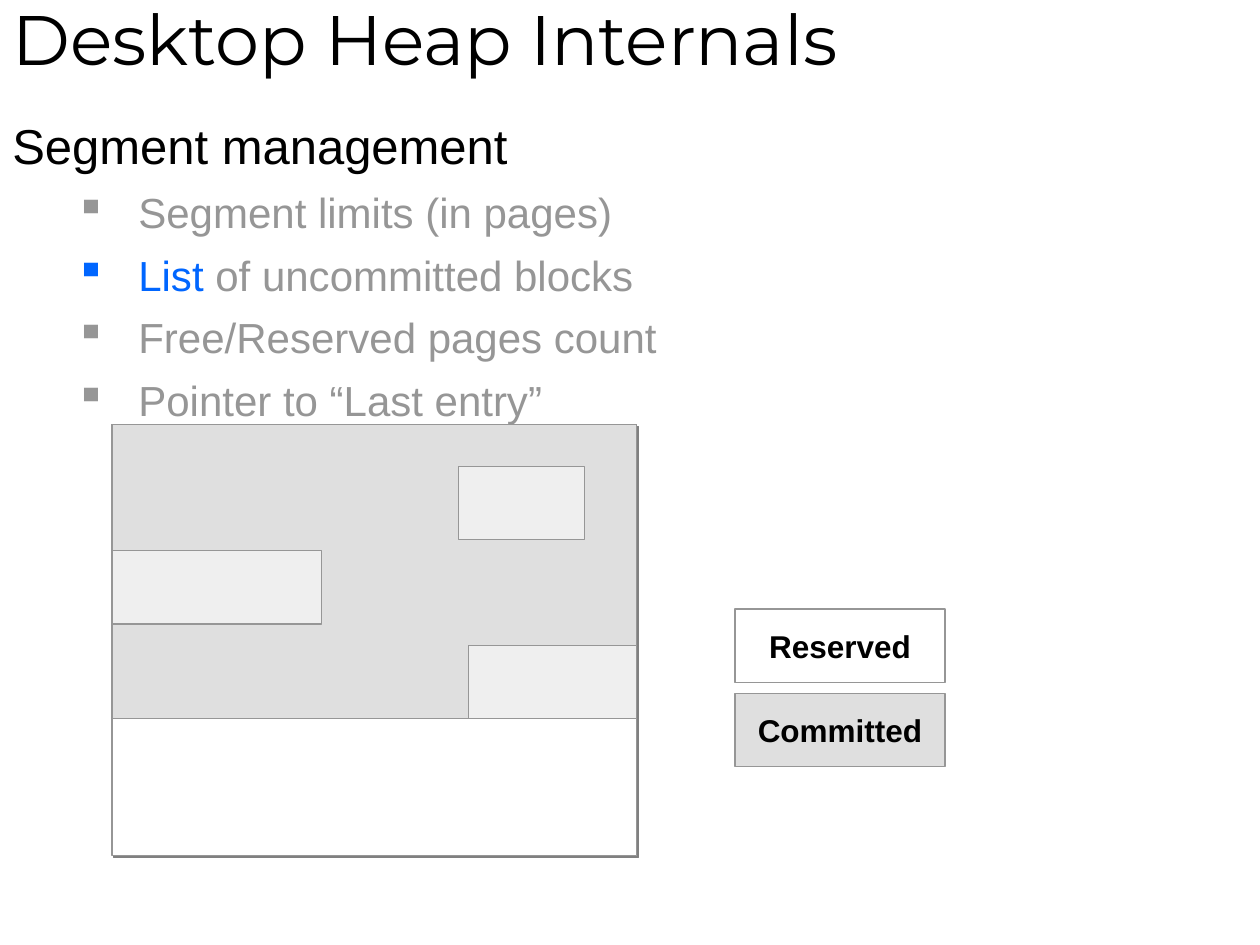
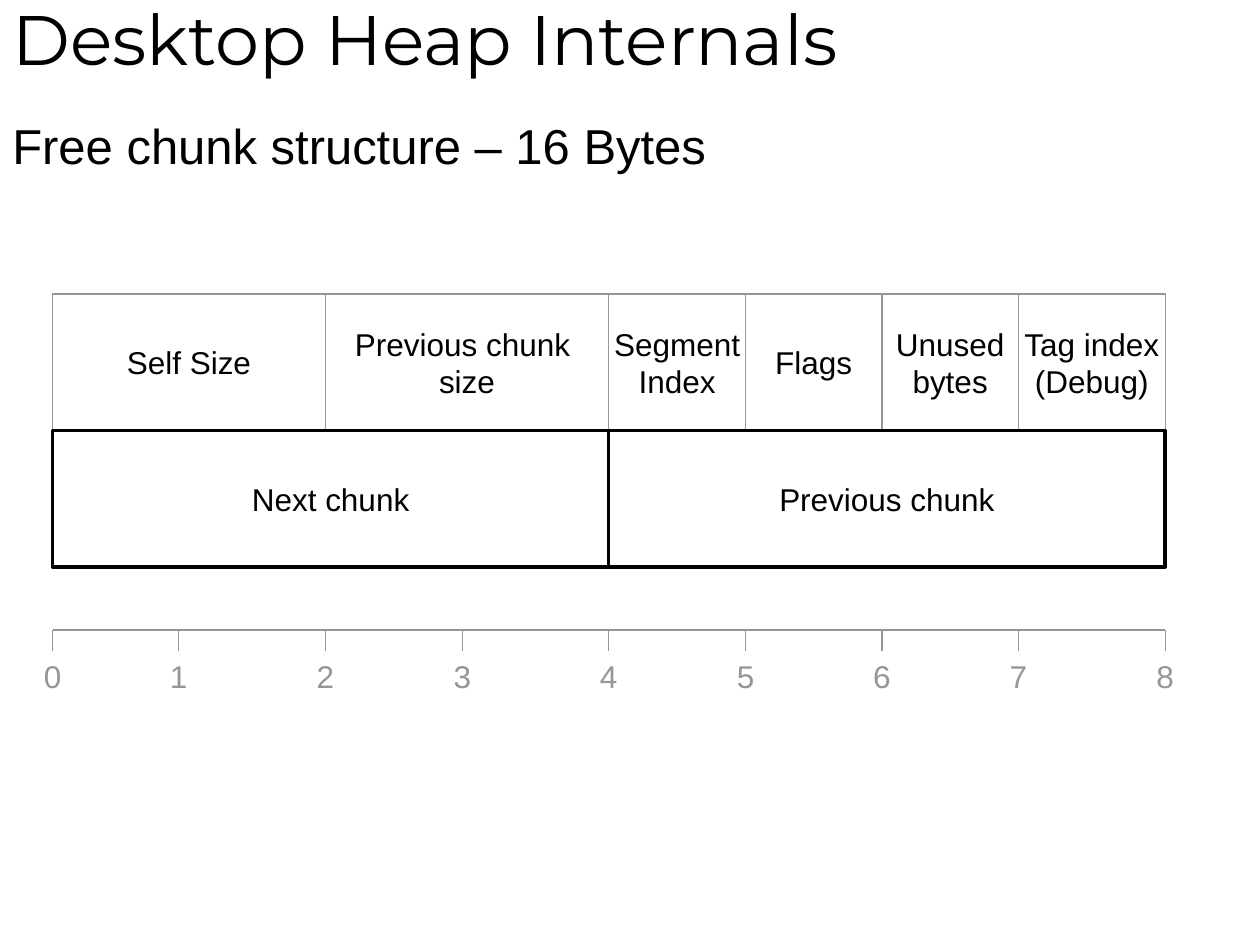
from collections import namedtuple

from lxml.etree import SubElement
from pptx import Presentation
from pptx.dml.color import RGBColor
from pptx.enum.shapes import MSO_CONNECTOR, MSO_SHAPE
from pptx.enum.text import MSO_ANCHOR, MSO_AUTO_SIZE, PP_ALIGN
from pptx.oxml.ns import qn
from pptx.util import Cm, Pt

Box = namedtuple("Box", "left top width height")

COLORS = {
    "text": "000000",
    "muted": "969696",
    "accent": "0066FF",
    "paper": "FFFFFF",
    "committed": "C0C0C0",
    "shadow": "808080",
}
TITLE_FONT = {"name": "Montserrat", "size": Pt(40), "bold": False}
HEADING_FONT = {"name": "Arial", "size": Pt(28)}
BULLET_FONT = {"name": "Arial", "size": Pt(24)}
LABEL_FONT = {"name": "Arial", "size": Pt(18)}
LEGEND_FONT = {**LABEL_FONT, "bold": True}
TITLE_FRAME = {
    "auto_size": MSO_AUTO_SIZE.NONE,
    "vertical_anchor": MSO_ANCHOR.MIDDLE,
    "word_wrap": True,
}
LABEL_FRAME = {"vertical_anchor": MSO_ANCHOR.MIDDLE, "word_wrap": False}

TITLE = "Desktop Heap Internals"
TITLE_BOX = Box(0, -0.2, 25.4, 1.9)
BYTE_EDGES = [0, 2.54, 5.5, 8.26, 11.21, 13.97, 16.72, 19.47, 22.43]
ROW_HEIGHT = 2.75
HEADER_FIELDS = [
    ("Self Size", 0, 2),
    ("Previous chunk \nsize", 2, 4),
    ("Segment\nIndex", 4, 5),
    ("Flags", 5, 6),
    ("Unused\nbytes", 6, 7),
    ("Tag index\n(Debug)", 7, 8),
]
LINK_FIELDS = [("Next chunk", 0, 4), ("Previous chunk", 4, 8)]
SEGMENT_BULLETS = [
    [("Segment limits (in pages)", "muted")],
    [("List ", "accent"), ("of uncommitted blocks", "muted")],
    [("Free/Reserved pages count", "muted")],
    [("Pointer to “Last entry”", "muted")],
]


def rgb(color):
    """Return the named palette colour."""
    return RGBColor.from_string(COLORS[color])


def apply(target, values):
    """Set every attribute in values on target."""
    for attribute, value in values.items():
        setattr(target, attribute, value)


def style_font(font, values, color):
    """Format a font and give it a palette colour."""
    apply(font, values)
    font.color.rgb = rgb(color)


def lengths(box):
    """Turn a box in centimetres into slide lengths."""
    return [Cm(side) for side in box]


def add_block(shapes, box, fill, opacity=100, line="muted", weight=0.75, label="", font=LABEL_FONT):
    """Add an outlined rectangle with an optional centred label."""
    block = shapes.add_shape(MSO_SHAPE.RECTANGLE, *lengths(box))
    block.shadow.inherit = False
    block.fill.solid()
    block.fill.fore_color.rgb = rgb(fill)
    if opacity < 100:
        fill_color = block.fill._xPr.find(qn("a:solidFill"))[0]
        SubElement(fill_color, qn("a:alpha"), val=str(opacity * 1000))
    block.line.color.rgb = rgb(line)
    block.line.width = Pt(weight)
    if label:
        apply(block.text_frame, LABEL_FRAME)
        block.text_frame.text = label
        for paragraph in block.text_frame.paragraphs:
            paragraph.alignment = PP_ALIGN.CENTER
            style_font(paragraph.font, font, "text")
    return block


def add_drop_shadow(block):
    """Give a block a hard shadow to its lower right."""
    effects = block._element.spPr.find(qn("a:effectLst"))
    shadow = SubElement(effects, qn("a:outerShdw"), dist=str(Pt(1.4)), dir="2700000",
                        algn="ctr", rotWithShape="0")
    SubElement(shadow, qn("a:srgbClr"), val=COLORS["shadow"])


def add_rule(shapes, start, end):
    """Add a thin line between two points."""
    ends = [Cm(position) for position in (*start, *end)]
    rule = shapes.add_connector(MSO_CONNECTOR.STRAIGHT, *ends)
    rule.line.color.rgb = rgb("muted")
    rule.line.width = Pt(0.75)
    SubElement(rule._element.spPr, qn("a:effectLst"))


def add_bullet(paragraph, color):
    """Give a paragraph a square bullet and a hanging indent."""
    properties = paragraph._p.get_or_add_pPr()
    properties.set("marL", str(Cm(2.54)))
    properties.set("indent", str(Cm(-1.27)))
    bullet_color = SubElement(properties, qn("a:buClr"))
    SubElement(bullet_color, qn("a:srgbClr"), val=COLORS[color])
    SubElement(properties, qn("a:buChar"), char="▪")


def add_titled_slide(deck):
    """Add a slide with the shared title."""
    slide = deck.slides.add_slide(deck.slide_layouts[5])
    title = slide.shapes.title
    apply(title, dict(zip(Box._fields, lengths(TITLE_BOX))))
    title.text_frame.text = TITLE
    apply(title.text_frame, TITLE_FRAME)
    paragraph = title.text_frame.paragraphs[0]
    paragraph.alignment = PP_ALIGN.LEFT
    style_font(paragraph.font, TITLE_FONT, "text")
    return slide


def add_outline(shapes, box, heading, bullets=()):
    """Add a heading followed by bullets of coloured runs."""
    frame = shapes.add_textbox(*lengths(box)).text_frame
    frame.word_wrap = True
    frame.text = heading
    style_font(frame.paragraphs[0].font, HEADING_FONT, "text")
    for runs in bullets:
        paragraph = frame.add_paragraph()
        add_bullet(paragraph, runs[0][1])
        paragraph.space_before = Pt(7)
        for text, color in runs:
            run = paragraph.add_run()
            run.text = text
            style_font(run.font, BULLET_FONT, color)


def add_segment_map(shapes, box):
    """Draw a segment, its committed part and the holes within it."""
    add_drop_shadow(add_block(shapes, box, "paper"))
    committed = box._replace(height=5.93)
    add_block(shapes, committed, "committed", 50)
    hole_height = 1.48
    holes = [
        (6.99, 0.84, 2.54),
        (0, 2.54, 4.23),
        (box.width - 3.39, committed.height - hole_height, 3.39),
    ]
    for left, top, width in holes:
        hole = Box(box.left + left, box.top + top, width, hole_height)
        add_block(shapes, hole, "paper", 50)


def add_legend(shapes, box):
    """Stack the two page states evenly in the box."""
    gap = 0.22
    height = (box.height - gap) / 2
    for index, (state, fill) in enumerate([("Reserved", "paper"), ("Committed", "committed")]):
        entry = Box(box.left, box.top + index * (height + gap), box.width, height)
        add_block(shapes, entry, fill, 50, label=state, font=LEGEND_FONT)


def add_field_row(shapes, box, fields, **outline):
    """Lay out labelled fields along the byte edges."""
    for name, first, last in fields:
        left, right = BYTE_EDGES[first], BYTE_EDGES[last]
        field = Box(box.left + left, box.top, right - left, box.height)
        add_block(shapes, field, "paper", label=name, **outline)


def add_chunk_layout(shapes, box):
    """Draw the header row above the row of list links."""
    header = box._replace(height=ROW_HEIGHT)
    add_block(shapes, header, "paper")
    add_field_row(shapes, header, HEADER_FIELDS)
    links = header._replace(top=box.top + ROW_HEIGHT)
    add_field_row(shapes, links, LINK_FIELDS, line="text", weight=2)


def add_byte_scale(shapes, box):
    """Draw a ruler with one numbered tick per byte edge."""
    ruler = shapes.add_group_shape().shapes
    tick, label_width = 0.43, 0.86
    add_rule(ruler, (box.left, box.top), (box.left + box.width, box.top))
    for byte, edge in enumerate(BYTE_EDGES):
        x = box.left + edge
        add_rule(ruler, (x, box.top), (x, box.top + tick))
        label = Box(x - label_width / 2, box.top + tick, label_width, box.height - tick)
        frame = ruler.add_textbox(*lengths(label)).text_frame
        frame.word_wrap = False
        frame.text = str(byte)
        frame.paragraphs[0].alignment = PP_ALIGN.CENTER
        style_font(frame.paragraphs[0].font, LABEL_FONT, "muted")


def build_segment_slide(deck):
    """Build the slide on segment management."""
    shapes = add_titled_slide(deck).shapes
    add_outline(shapes, Box(0, 2.2, 13.76, 15.6), "Segment management", SEGMENT_BULLETS)
    add_segment_map(shapes, Box(2.26, 8.56, 10.58, 8.69))
    add_legend(shapes, Box(14.82, 12.28, 4.23, 3.18))


def build_chunk_slide(deck):
    """Build the slide on the free chunk structure."""
    shapes = add_titled_slide(deck).shapes
    add_outline(shapes, Box(0, 2.2, 25.4, 15.6), "Free chunk structure – 16 Bytes")
    add_chunk_layout(shapes, Box(1.06, 5.93, BYTE_EDGES[-1], 2 * ROW_HEIGHT))
    add_byte_scale(shapes, Box(1.06, 12.7, BYTE_EDGES[-1], 1.45))


def main():
    """Build and save the deck."""
    deck = Presentation()
    deck.slide_width, deck.slide_height = Cm(25.4), Cm(19.05)
    build_segment_slide(deck)
    build_chunk_slide(deck)
    deck.save("out.pptx")


if __name__ == "__main__":
    main()
